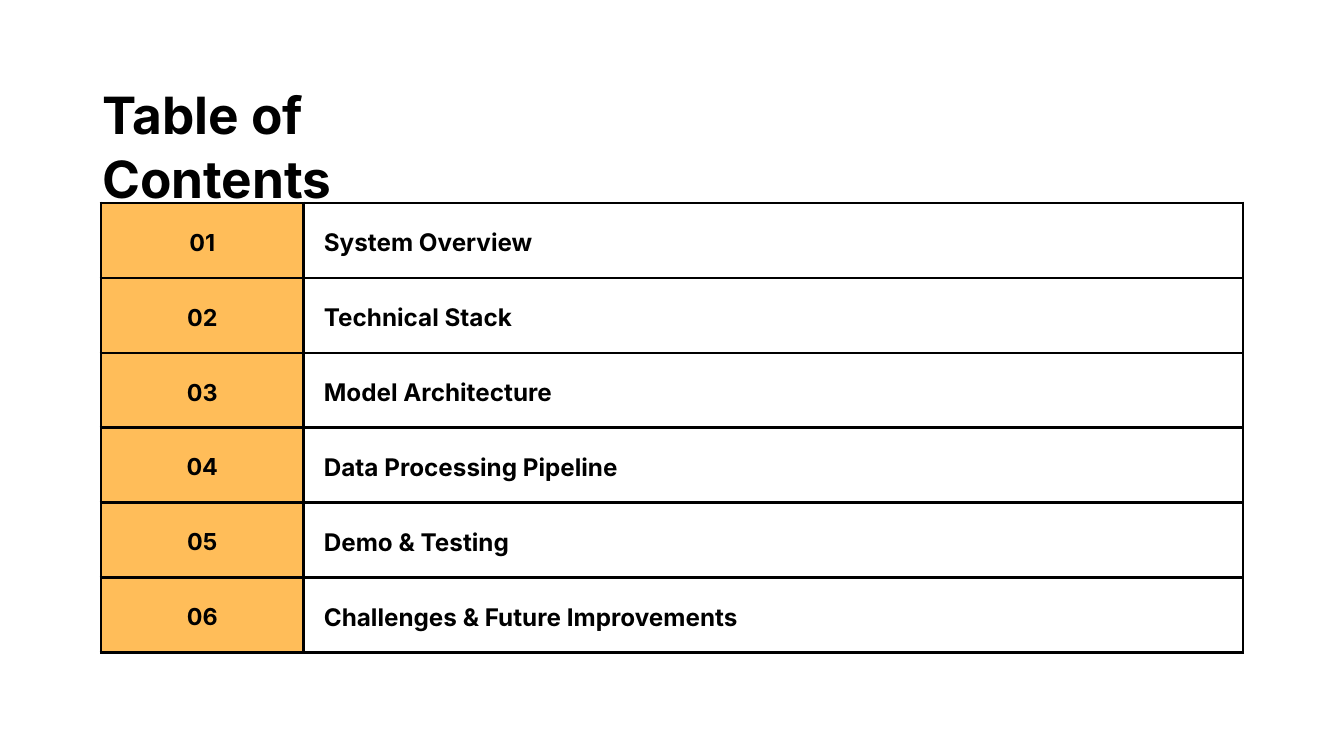
"""Build a table of contents slide with numbered sections."""
from lxml.etree import SubElement
from pptx import Presentation
from pptx.dml.color import RGBColor
from pptx.enum.shapes import MSO_SHAPE
from pptx.enum.text import MSO_ANCHOR, MSO_AUTO_SIZE, PP_ALIGN
from pptx.oxml.ns import qn
from pptx.util import Inches, Pt

TITLE = "Table of Contents"
SECTIONS = [
    "System Overview",
    "Technical Stack",
    "Model Architecture",
    "Data Processing Pipeline",
    "Demo & Testing",
    "Challenges & Future Improvements",
]
FONT = "Inter"
BLACK = RGBColor(0x00, 0x00, 0x00)
WHITE = RGBColor(0xFF, 0xFF, 0xFF)
GREY = RGBColor(0xF6, 0xF4, 0xF4)
ORANGE = RGBColor(0xFF, 0xBD, 0x59)
SLIDE_WIDTH, SLIDE_HEIGHT = 20, 11.25
LEFT, TOP, WIDTH, HEIGHT = 1.5, 3.02, 17, 6.69
NUMBER_WIDTH = 3.02
CELL_MARGIN = 0.21
TEXT_INDENT = 0.3


def style_paragraph(para, size, spacing, align=PP_ALIGN.LEFT):
    para.alignment = align
    para.line_spacing = Pt(spacing)
    para.space_before = Pt(0)
    para.font.name = FONT
    para.font.size = Pt(size)
    para.font.bold = True
    para.font.color.rgb = BLACK


def add_panel(page, left, top, width, height, color):
    panel = page.shapes.add_shape(
        MSO_SHAPE.RECTANGLE, Inches(left), Inches(top), Inches(width), Inches(height)
    )
    panel.shadow.inherit = False
    panel.fill.solid()
    panel.fill.fore_color.rgb = color
    panel.line.fill.background()


def add_borders(cell):
    properties = cell._tc.get_or_add_tcPr()
    for index, side in enumerate(("lnL", "lnR", "lnT", "lnB")):
        line = SubElement(properties, qn(f"a:{side}"), w=str(Pt(3)))
        fill = SubElement(line, qn("a:solidFill"))
        SubElement(fill, qn("a:srgbClr"), val=str(BLACK))
        properties.insert(index, line)


def fill_cell(cell, text, size, spacing, align, left_margin):
    cell.text = text
    cell.vertical_anchor = MSO_ANCHOR.MIDDLE
    cell.margin_left = Inches(left_margin)
    cell.margin_right = cell.margin_top = cell.margin_bottom = Inches(CELL_MARGIN)
    cell.fill.background()
    style_paragraph(cell.text_frame.paragraphs[0], size, spacing, align)
    add_borders(cell)


def add_title(page):
    title = page.shapes.title
    page.shapes._spTree.append(title._element)
    title.left, title.top = Inches(1.52), Inches(1.2)
    title.width, title.height = Inches(6.58), Inches(0.93)
    frame = title.text_frame
    frame.text = TITLE
    frame.word_wrap = True
    frame.auto_size = MSO_AUTO_SIZE.NONE
    frame.vertical_anchor = MSO_ANCHOR.TOP
    frame.margin_left = frame.margin_right = 0
    frame.margin_top = frame.margin_bottom = 0
    style_paragraph(frame.paragraphs[0], 55, 68.6)


def add_contents(page):
    add_panel(page, LEFT, TOP, NUMBER_WIDTH, HEIGHT, ORANGE)
    table = page.shapes.add_table(
        len(SECTIONS), 2, Inches(LEFT), Inches(TOP), Inches(WIDTH), Inches(HEIGHT)
    ).table
    table.first_row = table.horz_banding = False
    table.columns[0].width = Inches(NUMBER_WIDTH)
    table.columns[1].width = Inches(WIDTH - NUMBER_WIDTH)
    for row, section in enumerate(SECTIONS):
        fill_cell(table.cell(row, 0), f"{row + 1:02}", 25, 35,
                  PP_ALIGN.CENTER, CELL_MARGIN)
        fill_cell(table.cell(row, 1), section, 26, 36.4,
                  PP_ALIGN.LEFT, TEXT_INDENT)


def main():
    deck = Presentation()
    deck.slide_width, deck.slide_height = Inches(SLIDE_WIDTH), Inches(SLIDE_HEIGHT)
    page = deck.slides.add_slide(deck.slide_layouts[5])
    for color in (GREY, WHITE):
        add_panel(page, 0, 0, SLIDE_WIDTH, SLIDE_HEIGHT, color)
    add_title(page)
    add_contents(page)
    deck.save("out.pptx")


if __name__ == "__main__":
    main()
